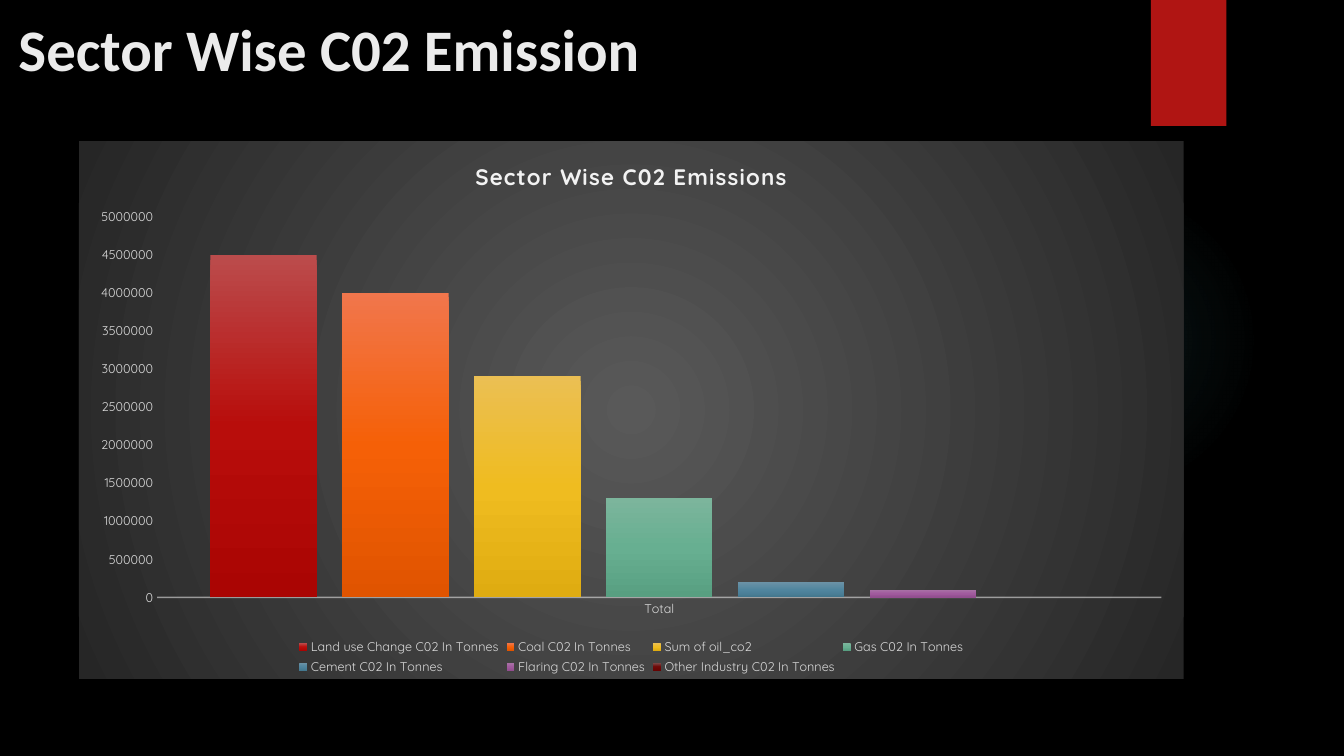
from dataclasses import dataclass
from typing import Optional

from lxml.etree import SubElement
from pptx import Presentation
from pptx.chart.data import CategoryChartData
from pptx.dml.color import RGBColor
from pptx.dml.fill import FillFormat
from pptx.enum.chart import XL_CHART_TYPE as ChartType, XL_LEGEND_POSITION as LegendPos
from pptx.enum.chart import XL_TICK_MARK as TickMark
from pptx.enum.shapes import MSO_SHAPE as Shape
from pptx.enum.text import MSO_ANCHOR as Anchor, PP_ALIGN as Align
from pptx.oxml import parse_xml
from pptx.oxml.ns import nsdecls, qn
from pptx.util import Inches, Pt

BLACK = RGBColor(0x00, 0x00, 0x00)
WHITE = RGBColor(0xFF, 0xFF, 0xFF)
TITLE = RGBColor(0xEB, 0xEB, 0xEB)
PALE = RGBColor(0xF2, 0xF2, 0xF2)
LABEL = RGBColor(0xD9, 0xD9, 0xD9)
RED = RGBColor(0xB0, 0x15, 0x13)
TEAL = RGBColor(0x50, 0xB9, 0xC1)
GREY = RGBColor(0x59, 0x59, 0x59)
CHARCOAL = RGBColor(0x26, 0x26, 0x26)

COLUMNS, ROWS = 160, 90
CHART_FONT = "Quicksand"


@dataclass(frozen=True)
class Box:
    col: float
    row: float
    cols: float
    rows: float


@dataclass(frozen=True)
class Stop:
    pos: int
    color: RGBColor
    alpha: int = 100


@dataclass(frozen=True)
class Sector:
    name: str
    tonnes: int
    top: RGBColor
    middle: RGBColor
    bottom: RGBColor


SECTORS = [
    Sector("Land use Change C02 In Tonnes", 4500000,
           RGBColor(0xBB, 0x4C, 0x4C), RGBColor(0xB8, 0x0D, 0x0B), RGBColor(0xAA, 0x05, 0x03)),
    Sector("Coal C02 In Tonnes", 4000000,
           RGBColor(0xF1, 0x76, 0x4C), RGBColor(0xF5, 0x60, 0x07), RGBColor(0xE0, 0x54, 0x00)),
    Sector("Sum of oil_co2", 2900000,
           RGBColor(0xEB, 0xBF, 0x53), RGBColor(0xEF, 0xBC, 0x20), RGBColor(0xDF, 0xAC, 0x11)),
    Sector("Gas C02 In Tonnes", 1300000,
           RGBColor(0x7C, 0xB5, 0x9C), RGBColor(0x67, 0xAF, 0x91), RGBColor(0x58, 0x9F, 0x81)),
    Sector("Cement C02 In Tonnes", 200000,
           RGBColor(0x6B, 0x92, 0xA6), RGBColor(0x50, 0x85, 0x9E), RGBColor(0x44, 0x78, 0x8F)),
    Sector("Flaring C02 In Tonnes", 100000,
           RGBColor(0xA9, 0x72, 0xA6), RGBColor(0xA1, 0x5B, 0x9E), RGBColor(0x92, 0x4E, 0x8F)),
    Sector("Other Industry C02 In Tonnes", 0,
           RGBColor(0x7D, 0x4B, 0x4B), RGBColor(0x6E, 0x08, 0x07), RGBColor(0x66, 0x03, 0x02)),
]

GLOW = Box(112.9, 22, 37, 37)
BANNER = Box(137, 0, 9, 15)
HEADING = Box(1, 1, 123.5, 5.4)
CHART = Box(9.4, 16.8, 131.5, 64)


def place(box: Box) -> tuple[int, int, int, int]:
    col, row = prs.slide_width / COLUMNS, prs.slide_height / ROWS
    return (int(box.col * col), int(box.row * row),
            int(box.cols * col), int(box.rows * row))


def set_gradient(fill: FillFormat, sp_pr, stops: list[Stop], radial: bool) -> None:
    fill.solid()
    grad = parse_xml(f'<a:gradFill {nsdecls("a")} rotWithShape="1"><a:gsLst/></a:gradFill>')
    for stop in stops:
        gs = SubElement(grad[0], qn("a:gs"), pos=str(stop.pos * 1000))
        clr = SubElement(gs, qn("a:srgbClr"), val=str(stop.color))
        if stop.alpha < 100:
            SubElement(clr, qn("a:alpha"), val=str(stop.alpha * 1000))
    if radial:
        path = SubElement(grad, qn("a:path"), path="circle")
        SubElement(path, qn("a:fillToRect"), l="50000", t="50000", r="50000", b="50000")
    else:
        SubElement(grad, qn("a:lin"), ang="5400000", scaled="0")
    sp_pr.replace(sp_pr.find(qn("a:solidFill")), grad)


def add_block(kind: Shape, box: Box, color: Optional[RGBColor] = None):
    s = slide.shapes.add_shape(kind, *place(box))
    s.shadow.inherit = False
    s.line.fill.background()
    if color is not None:
        s.fill.solid()
        s.fill.fore_color.rgb = color
    return s


def style_font(font, size: float, color: RGBColor, name: str, bold: bool = False) -> None:
    font.size, font.name, font.bold = Pt(size), name, bold
    font.color.rgb = color


def add_heading(text: str) -> None:
    title = slide.shapes.title
    title.left, title.top, title.width, title.height = place(HEADING)
    tf = title.text_frame
    tf.text = text
    tf.vertical_anchor = Anchor.TOP
    tf.margin_top = Inches(0.04)
    p = tf.paragraphs[0]
    p.alignment = Align.LEFT
    style_font(p.runs[0].font, 42, TITLE, "Calibri", True)


def add_emissions_chart() -> None:
    data = CategoryChartData(number_format="General")
    data.categories = ["Total"]
    for sector in SECTORS:
        data.add_series(sector.name, [sector.tonnes])
    chart = slide.shapes.add_chart(ChartType.COLUMN_CLUSTERED, *place(CHART), data).chart
    style_font(chart.font, 10, WHITE, CHART_FONT)

    sp_pr = parse_xml(f'<c:spPr {nsdecls("c", "a")}><a:ln><a:noFill/></a:ln></c:spPr>')
    chart._chartSpace.chart.addnext(sp_pr)
    set_gradient(FillFormat.from_fill_parent(sp_pr), sp_pr,
                 [Stop(0, GREY), Stop(100, CHARCOAL)], True)

    chart.has_title = True
    tf = chart.chart_title.text_frame
    tf.text = "Sector Wise C02 Emissions"
    r = tf.paragraphs[0].runs[0]
    style_font(r.font, 16, PALE, CHART_FONT, True)
    r.font._element.set("spc", "100")
    chart.chart_title.include_in_layout = False

    chart.has_legend = True
    chart.legend.position = LegendPos.BOTTOM
    chart.legend.include_in_layout = False
    style_font(chart.legend.font, 9, LABEL, CHART_FONT)

    for axis in (chart.category_axis, chart.value_axis):
        axis.has_major_gridlines = False
        axis.major_tick_mark = axis.minor_tick_mark = TickMark.NONE
        style_font(axis.tick_labels.font, 9, LABEL, CHART_FONT)
    line = chart.category_axis.format.line
    line.width = Pt(1)
    line.color.rgb = PALE
    SubElement(line.color._xFill.find(qn("a:srgbClr")), qn("a:alpha"), val="54000")
    chart.value_axis.format.line.fill.background()
    chart.value_axis.minimum_scale = 0
    chart.value_axis.maximum_scale = 5000000
    chart.value_axis.major_unit = 500000

    plot = chart.plots[0]
    plot.gap_width, plot.overlap, plot.vary_by_categories = 100, -24, False
    for sector, series in zip(SECTORS, plot.series):
        stops = [Stop(0, sector.top), Stop(50, sector.middle), Stop(100, sector.bottom)]
        series.invert_if_negative = False
        set_gradient(series.format.fill, series._element.spPr, stops, False)


prs = Presentation()
prs.slide_width, prs.slide_height = Inches(13.33), Inches(7.5)
slide = prs.slides.add_slide(prs.slide_layouts[5])
slide.background.fill.solid()
slide.background.fill.fore_color.rgb = BLACK

glow = add_block(Shape.OVAL, GLOW)
set_gradient(glow.fill, glow._element.spPr,
             [Stop(0, TEAL, 7), Stop(36, TEAL, 6), Stop(69, TEAL, 0)], True)
add_block(Shape.RECTANGLE, BANNER, RED)
add_heading("Sector Wise C02 Emission")
add_emissions_chart()
prs.save("out.pptx")
